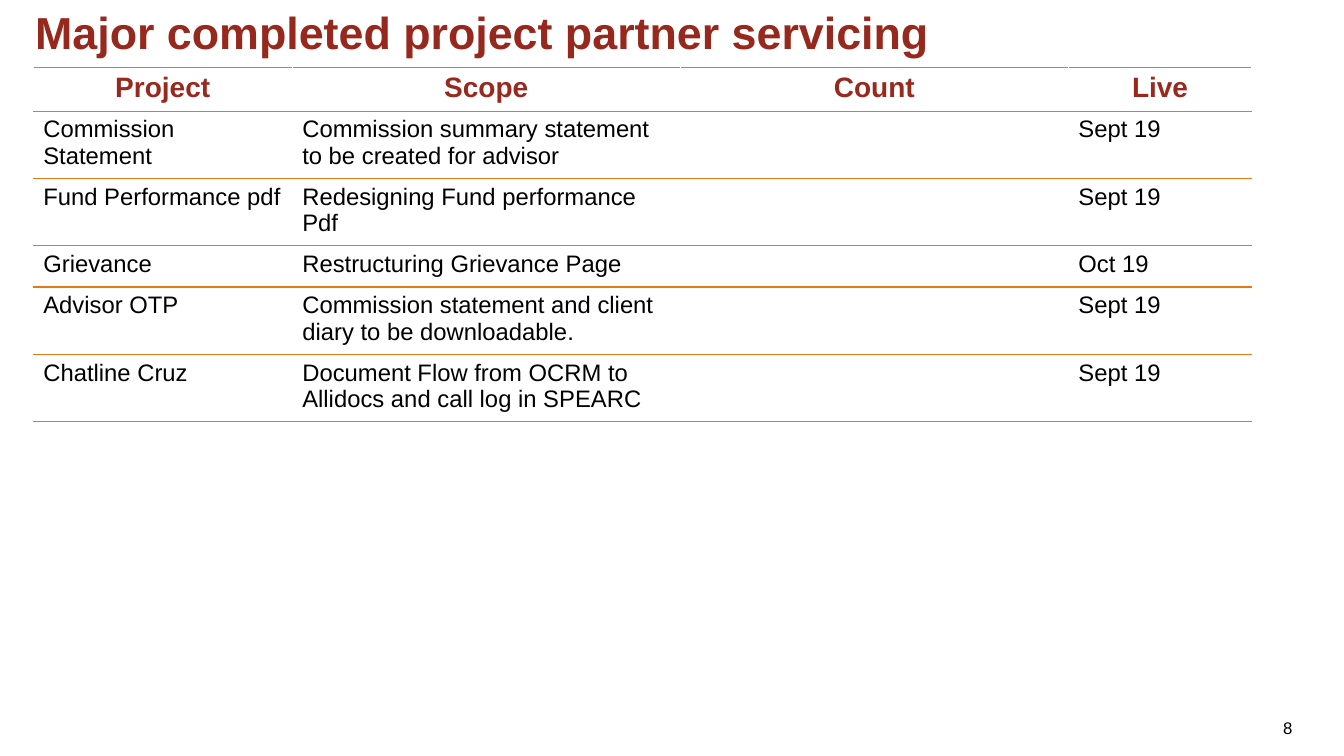
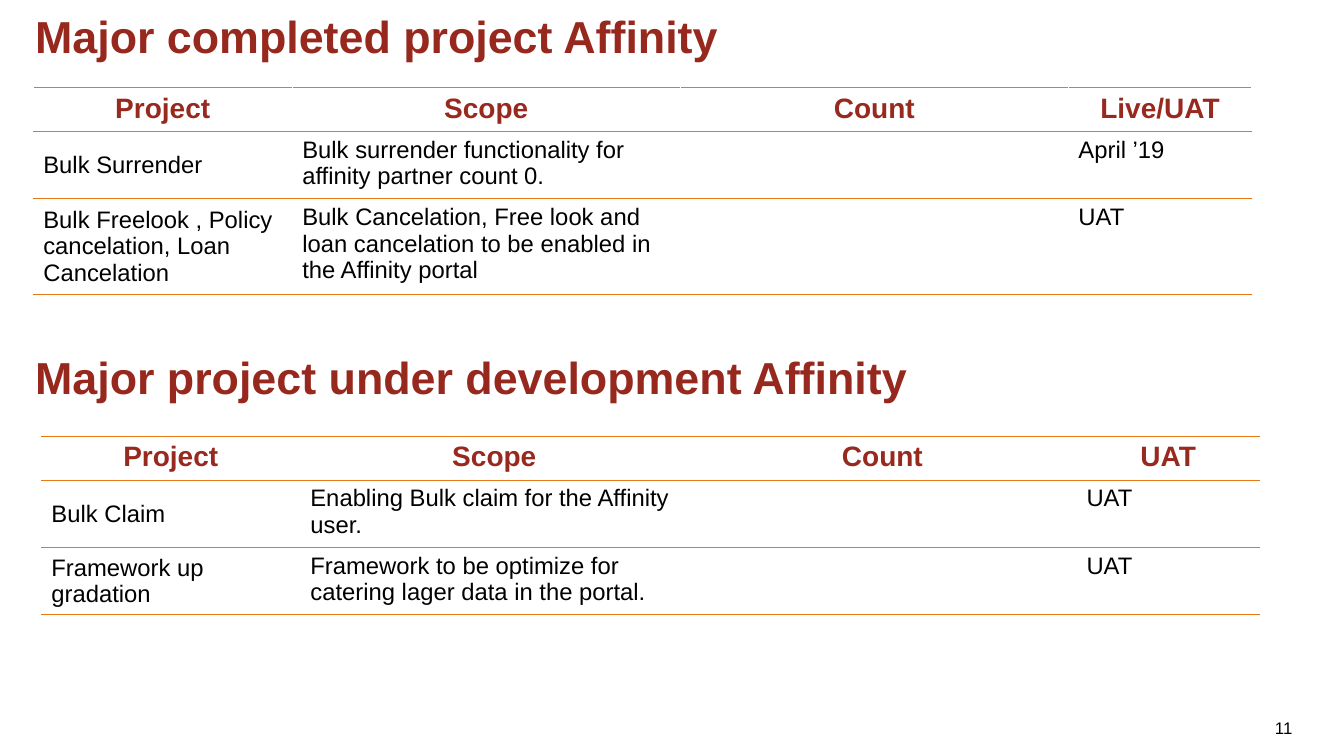
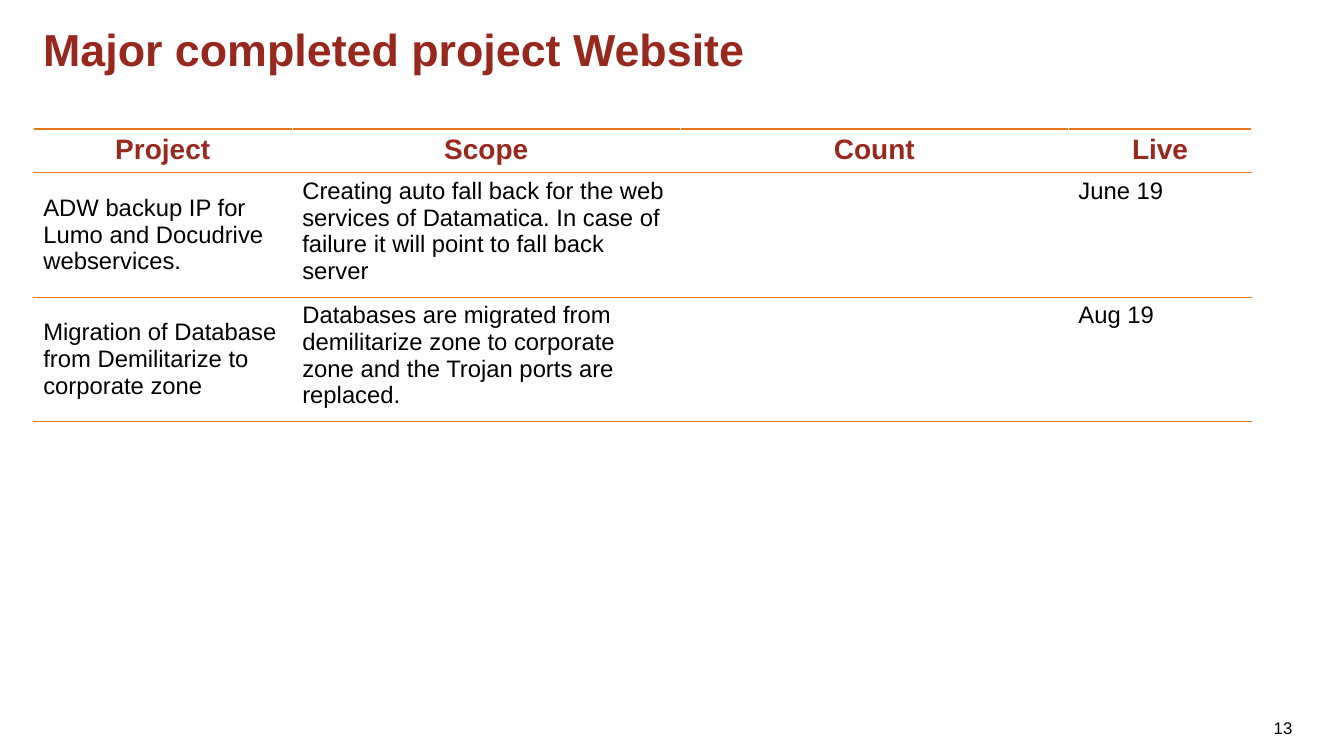
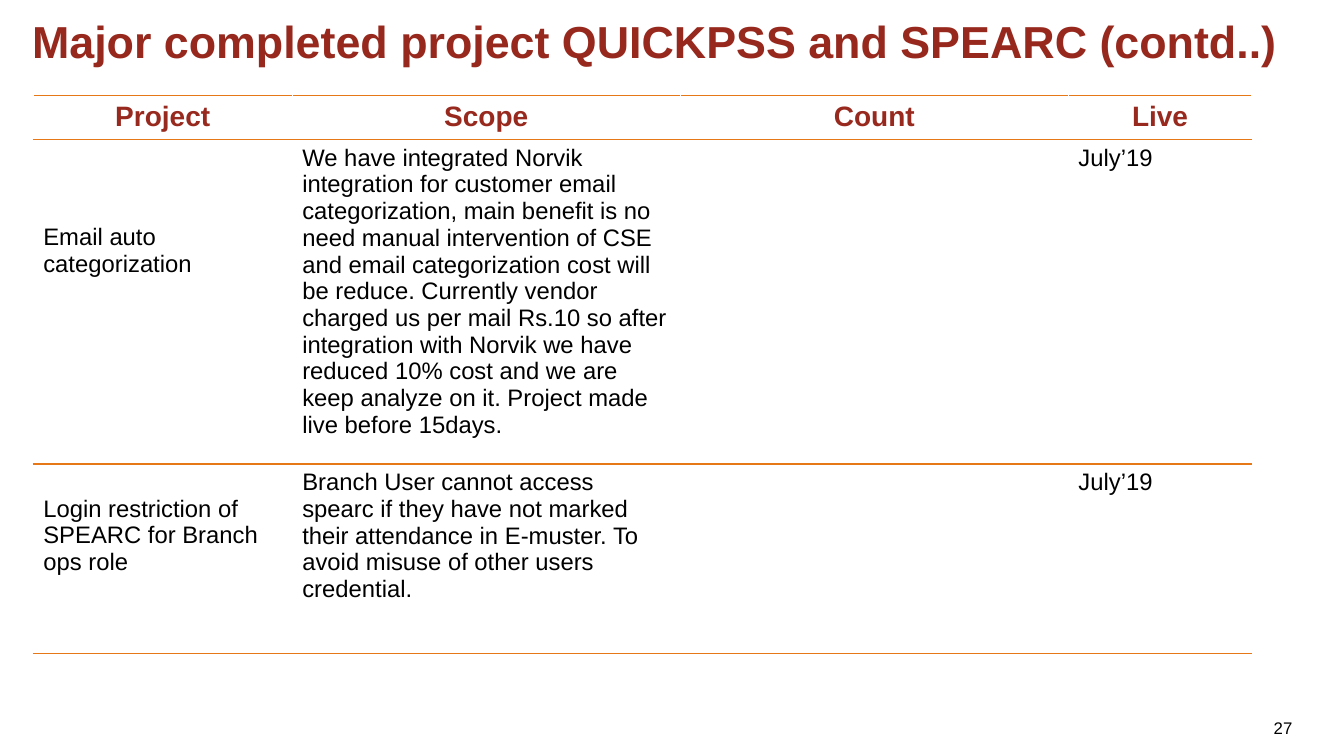
"""Build four slides of project status tables."""
from dataclasses import dataclass

from lxml import etree
from pptx import Presentation
from pptx.dml.color import RGBColor as Rgb
from pptx.enum import text as t
from pptx.oxml import ns
from pptx.util import Pt


@dataclass(frozen=True)
class Theme:
    """Hold the colours, type sizes and measures the slides share."""
    font: str = "Arial"
    title: str = "97281D"
    head: str = "97291E"
    ink: str = "000000"
    rule: str = "E77817"
    side: str = "FFFFFF"
    big: int = 32
    mid: int = 20
    body: int = 17
    small: int = 12
    line: int = 1
    inset: float = 3.6
    cols: tuple = (185, 277.2, 277.2, 131)
    top: float = 29.5


LOOK = Theme()


def style(para, size, hue, bold=False, align=t.PP_ALIGN.LEFT):
    """Format a paragraph and its runs."""
    para.alignment = align
    for run in para.runs:
        font = run.font
        font.name, font.size, font.bold = LOOK.font, Pt(size), bold
        font.color.rgb = Rgb.from_string(hue)


def label(slide, box, words, size, hue, **form):
    """Add a wrapping text box and return its frame."""
    frame = slide.shapes.add_textbox(*map(Pt, box)).text_frame
    frame.word_wrap = True
    frame.text = words
    style(frame.paragraphs[0], size, hue, **form)
    return frame


def title(slide, left, top, words, width=785.5):
    """Add a bold heading."""
    label(slide, (left, top, width, 54), words, LOOK.big, LOOK.title, bold=True)


def number(slide, page):
    """Add the page number at the lower right."""
    frame = label(slide, (882, 505.44, 48.24, 28.8), str(page), LOOK.small,
                  LOOK.ink, align=t.PP_ALIGN.RIGHT)
    frame.vertical_anchor = t.MSO_ANCHOR.MIDDLE


def border(cell, sides):
    """Rule a cell above and below, with white or no lines at its sides."""
    props = cell._tc.get_or_add_tcPr()
    hues = (LOOK.side if sides else None,) * 2 + (LOOK.rule,) * 2
    for tag, hue in zip(("lnL", "lnR", "lnT", "lnB"), hues):
        edge = etree.SubElement(props, ns.qn(f"a:{tag}"), w=str(Pt(LOOK.line)))
        if hue:
            fill = etree.SubElement(edge, ns.qn("a:solidFill"))
            etree.SubElement(fill, ns.qn("a:srgbClr"), val=hue)
        else:
            etree.SubElement(edge, ns.qn("a:noFill"))


def grid(slide, left, top, last, rows, mid=False, sides=True):
    """Add a table from rows of height, project, scope, date and lead."""
    rows = [(LOOK.top, "Project", "Scope", last, 0), *rows]
    table = slide.shapes.add_table(
        len(rows), len(LOOK.cols), Pt(left), Pt(top), Pt(sum(LOOK.cols)),
        Pt(sum(row[0] for row in rows))).table
    table.first_row = table.horz_banding = False
    for col, width in zip(table.columns, LOOK.cols):
        col.width = Pt(width)
    for i, (high, name, scope, date, lead) in enumerate(rows):
        table.rows[i].height = Pt(high)
        words = (name, scope, "" if i else "Count", date)
        for j, word in enumerate(words):
            cell = table.cell(i, j)
            border(cell, sides)
            cell.fill.background()
            if word:
                cell.text = word
                para = cell.text_frame.paragraphs[0]
                if i:
                    style(para, LOOK.body, LOOK.ink)
                else:
                    style(para, LOOK.mid, LOOK.head, True, t.PP_ALIGN.CENTER)
        first = table.cell(i, 0)
        first.margin_top = Pt(LOOK.inset + lead)
        if mid and i:
            first.vertical_anchor = t.MSO_ANCHOR.MIDDLE


def partner(slide):
    """Fill the partner servicing slide."""
    title(slide, 18, 0, "Major completed project partner servicing")
    grid(slide, 23.76, 48.24, "Live", [
        (45.5, "Commission Statement",
         "Commission summary statement to be created for advisor", "Sept 19", 0),
        (45.5, "Fund Performance pdf", "Redesigning Fund performance Pdf",
         "Sept 19", 0),
        (29.5, "Grievance", "Restructuring Grievance Page", "Oct 19", 0),
        (45.5, "Advisor OTP",
         "Commission statement and client diary to be downloadable.",
         "Sept 19", 0),
        (45.5, "Chatline Cruz",
         "Document Flow from OCRM to Allidocs and call log in SPEARC",
         "Sept 19", 0),
    ])


def affinity(slide):
    """Fill the slide with two Affinity tables."""
    title(slide, 18, 2.88, "Major completed project Affinity")
    grid(slide, 23.76, 62.64, "Live/UAT", [
        (45.5, "Bulk Surrender",
         "Bulk surrender functionality for affinity partner count 0.",
         "April ’19", 0),
        (64.5, "Bulk Freelook , Policy cancelation, Loan Cancelation",
         "Bulk Cancelation, Free look and loan cancelation to be enabled in "
         "the Affinity portal", "UAT", 0),
    ], mid=True)
    title(slide, 18, 246.24, "Major project under development Affinity")
    grid(slide, 29.52, 311.76, "UAT", [
        (45.5, "Bulk Claim", "Enabling Bulk claim for the Affinity user.",
         "UAT", 0),
        (45.5, "Framework up gradation",
         "Framework to be optimize for catering lager data in the portal.",
         "UAT", 0),
    ], mid=True, sides=False)


def website(slide):
    """Fill the website slide."""
    title(slide, 23.76, 12.24, "Major completed project Website")
    grid(slide, 23.76, 92.16, "Live", [
        (83.5, "ADW backup IP for Lumo and Docudrive webservices.",
         "Creating auto fall back for the web services of Datamatica. In case "
         "of failure it will point to fall back server", "June 19", 0),
        (83.5, "Migration of Database from Demilitarize to corporate zone",
         "Databases are migrated from demilitarize zone to corporate zone and "
         "the Trojan ports are replaced.", "Aug 19", 0),
    ], mid=True)


def service(slide):
    """Fill the slide on service systems."""
    title(slide, 15.84, 6.48,
          "Major completed project QUICKPSS and SPEARC (contd..)", 920)
    grid(slide, 23.76, 68.4, "Live", [
        (216.5, "Email auto categorization",
         "We have integrated Norvik integration for customer email "
         "categorization, main benefit is no need manual intervention of CSE "
         "and email categorization cost will be reduce. Currently vendor "
         "charged us per mail Rs.10 so after integration with Norvik we have "
         "reduced 10% cost and we are keep analyze on it. Project made live "
         "before 15days.", "July’19", 57),
        (135.4, "Login restriction of SPEARC for Branch ops role",
         "Branch User cannot access spearc if they have not marked their "
         "attendance in E-muster. To avoid misuse of other users credential.",
         "July’19", 19),
    ])


def main():
    """Build and save the deck."""
    deck = Presentation()
    deck.slide_width, deck.slide_height = Pt(960), Pt(540)
    for page, fill in ((8, partner), (11, affinity), (13, website),
                       (27, service)):
        slide = deck.slides.add_slide(deck.slide_layouts[6])
        fill(slide)
        number(slide, page)
    deck.save("out.pptx")


if __name__ == "__main__":
    main()
